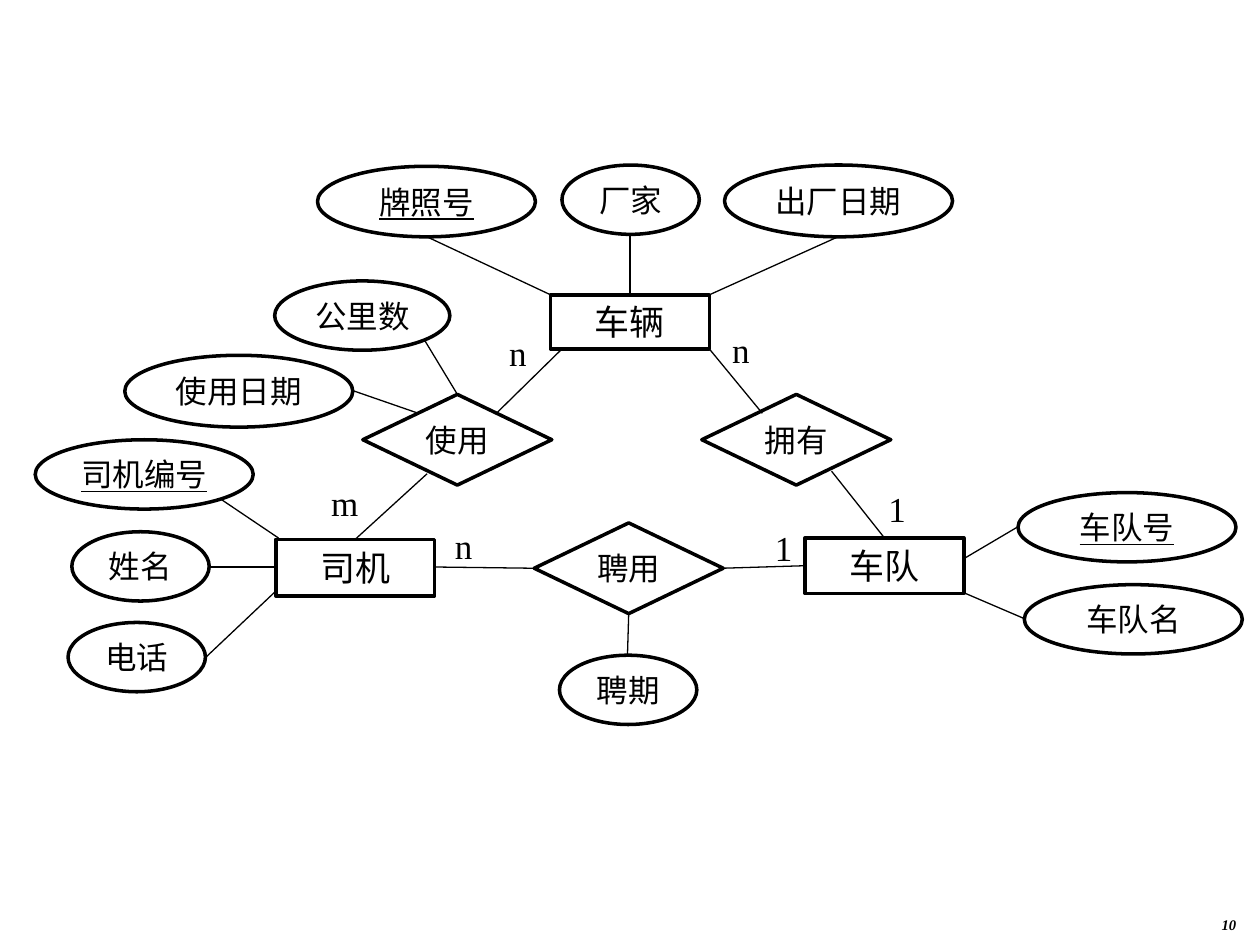
"""Build an entity-relationship diagram of vehicles, drivers and fleets."""
from typing import NamedTuple

from lxml import etree
from pptx import Presentation
from pptx.dml.color import RGBColor
from pptx.enum.shapes import MSO_CONNECTOR, MSO_SHAPE
from pptx.enum.text import MSO_ANCHOR, PP_ALIGN
from pptx.oxml.ns import qn
from pptx.slide import Slide
from pptx.util import Inches, Pt

RECTANGLE, DIAMOND, ELLIPSE = MSO_SHAPE.RECTANGLE, MSO_SHAPE.DIAMOND, MSO_SHAPE.OVAL
STRAIGHT = MSO_CONNECTOR.STRAIGHT
CENTER, RIGHT = PP_ALIGN.CENTER, PP_ALIGN.RIGHT
TOP, MIDDLE = MSO_ANCHOR.TOP, MSO_ANCHOR.MIDDLE
FONT = "Times New Roman"
COLORS = {"ink": "000000", "paper": "FFFFFF"}
SLIDE_WIDTH, SLIDE_HEIGHT = 10, 7.5
ENTITY_WIDTH = 1.26
RELATION_WIDTH, RELATION_HEIGHT = 1.5, 0.72
ATTRIBUTE_HEIGHT = 0.55
LABEL_HEIGHT = 0.44


class Node(NamedTuple):
    text: str
    left: float
    top: float
    width: float
    height: float
    kind: MSO_SHAPE
    size: float = 18
    underline: bool = False


class Link(NamedTuple):
    start_x: float
    start_y: float
    end_x: float
    end_y: float


class Label(NamedTuple):
    text: str
    left: float
    top: float
    width: float = 0.34


def entity(text: str, left: float, top: float, height: float) -> Node:
    """Describe an entity rectangle."""
    return Node(text, left, top, ENTITY_WIDTH, height, RECTANGLE, 20)


def relation(text: str, left: float, top: float) -> Node:
    """Describe a relationship diamond."""
    return Node(text, left, top, RELATION_WIDTH, RELATION_HEIGHT, DIAMOND)


def attribute(text: str, left: float, top: float, width: float = 1.09,
              height: float = ATTRIBUTE_HEIGHT, key: bool = False) -> Node:
    """Describe an attribute ellipse, underlined when it is a key."""
    return Node(text, left, top, width, height, ELLIPSE, underline=key)


NODES = [
    entity("车辆", 4.37, 2.34, 0.43),
    entity("司机", 2.19, 4.28, 0.45),
    entity("车队", 6.39, 4.27, 0.44),
    relation("使用", 2.88, 3.13),
    relation("聘用", 4.24, 4.15),
    relation("拥有", 5.57, 3.13),
    attribute("牌照号", 2.52, 1.32, 1.73, 0.56, key=True),
    attribute("厂家", 4.46, 1.31),
    attribute("出厂日期", 5.75, 1.31, 1.81, 0.57),
    attribute("公里数", 2.18, 2.23, 1.39),
    attribute("使用日期", 0.99, 2.82, 1.81, 0.57),
    attribute("司机编号", 0.28, 3.49, 1.73, key=True),
    attribute("姓名", 0.57, 4.22),
    attribute("电话", 0.54, 4.94),
    attribute("聘期", 4.44, 5.2),
    attribute("车队号", 8.08, 3.91, 1.73, key=True),
    attribute("车队名", 8.13, 4.64, 1.73),
]
LINKS = [
    Link(5, 1.86, 5, 2.34),
    Link(6.65, 1.88, 5.63, 2.34),
    Link(3.39, 1.88, 4.37, 2.34),
    Link(4.46, 2.77, 3.94, 3.28),
    Link(2.82, 4.28, 3.39, 3.76),
    Link(1.75, 3.96, 2.21, 4.27),
    Link(1.65, 4.5, 2.19, 4.5),
    Link(1.63, 5.22, 2.18, 4.7),
    Link(3.45, 4.5, 4.24, 4.51),
    Link(5.73, 4.51, 6.39, 4.49),
    Link(8.08, 4.18, 7.64, 4.44),
    Link(7.64, 4.7, 8.13, 4.91),
    Link(5.63, 2.77, 6.05, 3.28),
    Link(6.6, 3.74, 7.02, 4.27),
    Link(4.99, 4.87, 4.98, 5.2),
    Link(2.8, 3.1, 3.32, 3.28),
    Link(3.37, 2.7, 3.63, 3.13),
]
LABELS = [
    Label("n", 3.94, 2.58),
    Label("m", 2.53, 3.77, 0.41),
    Label("n", 3.51, 4.11),
    Label("1", 6.05, 4.13),
    Label("1", 6.95, 3.82),
    Label("n", 5.71, 2.56),
]


def color(name: str) -> RGBColor:
    """Look up a palette colour."""
    return RGBColor.from_string(COLORS[name])


def write(shape, text: str, size: float, alignment=CENTER, anchor=MIDDLE):
    """Write one paragraph into a shape and return it."""
    frame = shape.text_frame
    frame.word_wrap = False
    frame.vertical_anchor = anchor
    paragraph = frame.paragraphs[0]
    paragraph.text = text
    paragraph.alignment = alignment
    paragraph.font.name = FONT
    paragraph.font.size = Pt(size)
    paragraph.font.color.rgb = color("ink")
    return paragraph


def draw_node(slide: Slide, node: Node) -> None:
    """Draw an outlined shape with its centred name."""
    box = map(Inches, (node.left, node.top, node.width, node.height))
    shape = slide.shapes.add_shape(node.kind, *box)
    shape.shadow.inherit = False
    shape.fill.solid()
    shape.fill.fore_color.rgb = color("paper")
    shape.line.color.rgb = color("ink")
    shape.line.width = Pt(2)
    paragraph = write(shape, node.text, node.size)
    if node.underline:
        paragraph.font.underline = True


def draw_link(slide: Slide, link: Link) -> None:
    """Draw a thin line between two points."""
    connector = slide.shapes.add_connector(STRAIGHT, *map(Inches, link))
    connector.line.color.rgb = color("ink")
    connector.line.width = Pt(0.75)
    etree.SubElement(connector._element.spPr, qn("a:effectLst"))


def draw_label(slide: Slide, label: Label) -> None:
    """Draw a cardinality label."""
    box = map(Inches, (label.left, label.top, label.width, LABEL_HEIGHT))
    write(slide.shapes.add_textbox(*box), label.text, 20, anchor=TOP)


def draw_page_number(slide: Slide) -> None:
    """Draw the page number in the bottom right corner."""
    textbox = slide.shapes.add_textbox(*map(Inches, (7.83, 7.25, 2.08, 0.25)))
    paragraph = write(textbox, "10", 8.4, RIGHT, TOP)
    textbox.text_frame.word_wrap = True
    paragraph.line_spacing = 0.8
    paragraph.font.bold = paragraph.font.italic = True


def main() -> None:
    """Assemble and save the presentation."""
    presentation = Presentation()
    presentation.slide_width = Inches(SLIDE_WIDTH)
    presentation.slide_height = Inches(SLIDE_HEIGHT)
    slide = presentation.slides.add_slide(presentation.slide_layouts[6])
    draw_page_number(slide)
    for node in NODES:
        draw_node(slide, node)
    for link in LINKS:
        draw_link(slide, link)
    for label in LABELS:
        draw_label(slide, label)
    presentation.save("out.pptx")


if __name__ == "__main__":
    main()
